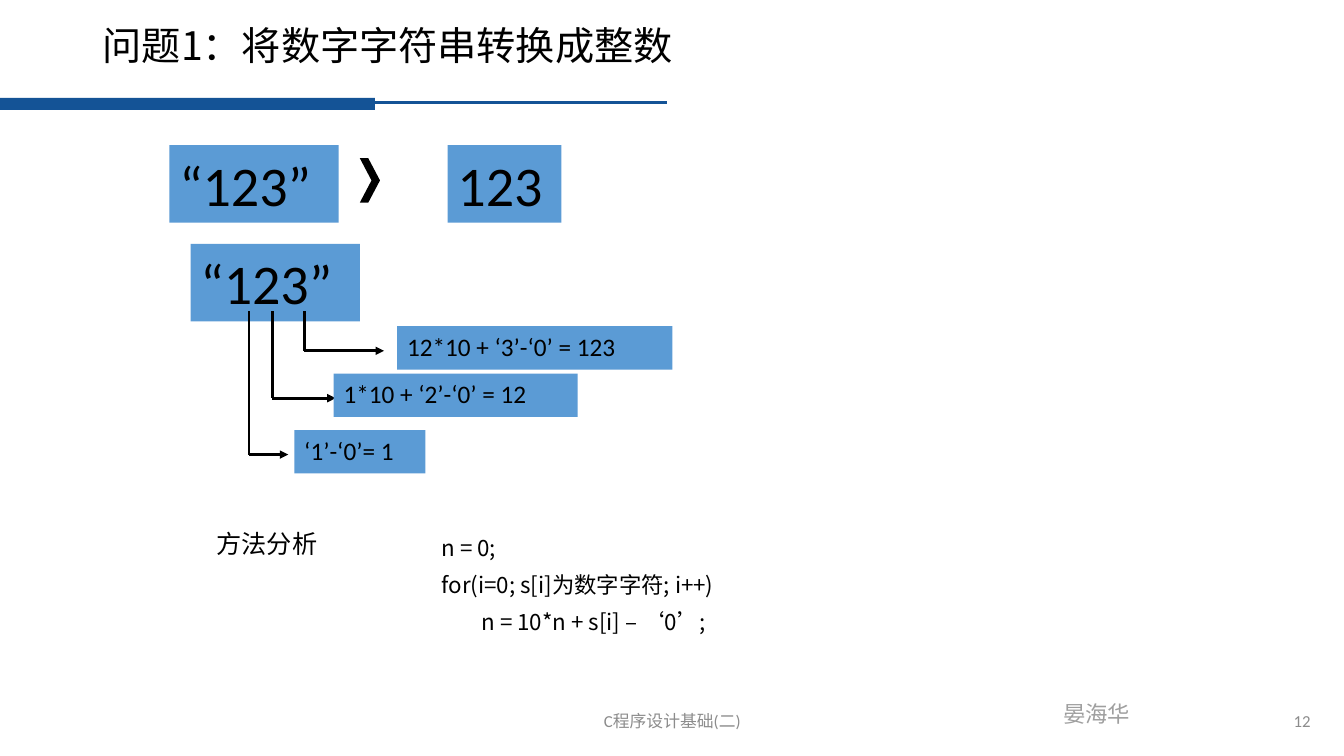
import pptx
import pptx.dml.color
import pptx.enum.shapes
import pptx.enum.text
import pptx.util
from lxml import etree
from pptx.oxml.ns import qn

RGBColor = pptx.dml.color.RGBColor
MSO_SHAPE = pptx.enum.shapes.MSO_SHAPE
PP_ALIGN = pptx.enum.text.PP_ALIGN
MSO_ANCHOR = pptx.enum.text.MSO_ANCHOR
Pt = pptx.util.Pt

NAVY = RGBColor(0x14, 0x53, 0x96)
SKY = RGBColor(0x5B, 0x9B, 0xD5)
BLACK = RGBColor(0, 0, 0)
GRAY = RGBColor(0x8C, 0x8C, 0x8C)
LIGHT_GRAY = RGBColor(0x9F, 0x9F, 0x9F)
LATIN_FONT = "Calibri"
CJK_FONT = "Noto Sans CJK SC"

# The slide is a grid of 160 columns and 90 rows with square cells.
SLIDE_WIDTH = pptx.util.Inches(13.333)
SLIDE_HEIGHT = pptx.util.Inches(7.5)
CELL = SLIDE_HEIGHT / 90

NUMBER_HEIGHT = 9.24
STEP_HEIGHT = 5.16
STEP_RISE = 2.92
DIGIT_BOTTOM = 37.08
# Digit column, elbow row, arrow end column, box left, box width, formula
STEPS = [
    (29.64, 54.12, 34.32, 35.04, 15.6, "‘1’-‘0’= 1"),
    (32.4, 47.4, 39.96, 39.72, 29.04, "1*10 + ‘2’-‘0’ = 12"),
    (36.24, 41.76, 45.72, 47.28, 32.76, "12*10 + ‘3’-‘0’ = 123"),
]
CODE = [
    "n = 0;",
    "for(i=0; s[i]为数字字符; i++)",
    "        n = 10*n + s[i] – ‘0’;",
]


def cells(*counts):
    return [round(count * CELL) for count in counts]


def format_spans(para, size, color, font):
    for span in para.runs:
        span.font.size = Pt(size)
        span.font.color.rgb = color
        span.font.name = font
        east_asian = etree.SubElement(span.font._element, qn("a:ea"))
        east_asian.set("typeface", CJK_FONT)


def write(shape, text, size, color=BLACK, align=PP_ALIGN.LEFT, anchor=MSO_ANCHOR.TOP):
    frame = shape.text_frame
    frame.word_wrap = True
    frame.vertical_anchor = anchor
    frame.text = text
    para = frame.paragraphs[0]
    para.alignment = align
    format_spans(para, size, color, LATIN_FONT)


def add_block(slide, place, fill, kind=MSO_SHAPE.RECTANGLE):
    block = slide.shapes.add_shape(kind, *cells(*place))
    block.shadow.inherit = False
    block.fill.solid()
    block.fill.fore_color.rgb = fill
    block.line.fill.background()
    return block


def add_label(slide, place, text, size, **style):
    write(slide.shapes.add_textbox(*cells(*place)), text, size, **style)


def add_line(slide, ends, color, width, arrow=False):
    line = slide.shapes.add_connector(
        pptx.enum.shapes.MSO_CONNECTOR.STRAIGHT, *cells(*ends))
    line.line.color.rgb = color
    line.line.width = Pt(width)
    if arrow:
        etree.SubElement(line.line._get_or_add_ln(), qn("a:tailEnd")).set("type", "triangle")
    etree.SubElement(line._element.spPr, qn("a:effectLst"))


def fill_placeholder(holder, place, lines, size, anchor):
    holder.left, holder.top, holder.width, holder.height = cells(*place)
    frame = holder.text_frame
    frame.auto_size = pptx.enum.text.MSO_AUTO_SIZE.NONE
    frame.word_wrap = True
    frame.vertical_anchor = anchor
    frame.text = "\n".join(lines)
    for para in frame.paragraphs:
        para.alignment = PP_ALIGN.LEFT
        format_spans(para, size, BLACK, CJK_FONT)


def add_header(slide):
    add_block(slide, (0, 11.64, 44.64, 1.44), NAVY)
    add_line(slide, (44.16, 12.24, 79.44, 12.24), NAVY, 2.25)
    title = slide.shapes.title
    fill_placeholder(title, (11.04, 2.04, 138, 7.2),
                     ["问题1：将数字字符串转换成整数"], 28, MSO_ANCHOR.MIDDLE)
    title.text_frame.paragraphs[0].line_spacing = 0.9


def add_code(slide):
    body = slide.placeholders[1]
    fill_placeholder(body, (51.36, 63.48, 57, 12.24), CODE, 16, MSO_ANCHOR.TOP)
    for index, para in enumerate(body.text_frame.paragraphs):
        para.line_spacing = 0.85
        para.space_before = Pt(10 if index else 0)
        properties = para._element.get_or_add_pPr()
        properties.set("marL", "0")
        properties.set("indent", "0")
        etree.SubElement(properties, qn("a:buNone"))


def add_conversion(slide):
    numbers = [
        (22.68, 29.04, 20.16, "“123”"),
        (20.16, 17.28, 20.16, "“123”"),
        (53.28, 17.28, 13.56, "123"),
    ]
    for left, top, width, text in numbers:
        write(add_block(slide, (left, top, width, NUMBER_HEIGHT), SKY), text, 40)
    chevron = add_block(slide, (42.84, 18.84, 2.4, 5.28), BLACK, MSO_SHAPE.CHEVRON)
    chevron.adjustments[0] = 0.58


def add_step(slide, digit, elbow, arrow_end, left, width, formula):
    """Draw the elbow arrow from one digit and the formula box it leads to."""
    add_line(slide, (digit, DIGIT_BOTTOM, digit, elbow), BLACK, 2)
    add_line(slide, (digit, elbow, arrow_end, elbow), BLACK, 2, arrow=True)
    box = add_block(slide, (left, elbow - STEP_RISE, width, STEP_HEIGHT), SKY)
    write(box, formula, 18)


def add_footer(slide):
    add_label(slide, (125.4, 82.8, 10.68, 4.44), "晏海华", 16, color=LIGHT_GRAY)
    add_label(slide, (53.04, 83.4, 54, 4.8), "C程序设计基础(二)", 12,
              color=GRAY, align=PP_ALIGN.CENTER, anchor=MSO_ANCHOR.MIDDLE)
    add_label(slide, (121.2, 83.4, 36, 4.8), "12", 12,
              color=GRAY, align=PP_ALIGN.RIGHT, anchor=MSO_ANCHOR.MIDDLE)


def main():
    deck = pptx.Presentation()
    deck.slide_width, deck.slide_height = SLIDE_WIDTH, SLIDE_HEIGHT
    slide = deck.slides.add_slide(deck.slide_layouts[1])
    add_header(slide)
    add_code(slide)
    add_conversion(slide)
    for step in STEPS:
        add_step(slide, *step)
    add_label(slide, (24.6, 62.28, 15.96, 5.28), "方法分析", 18)
    add_footer(slide)
    deck.save("out.pptx")


if __name__ == "__main__":
    main()
